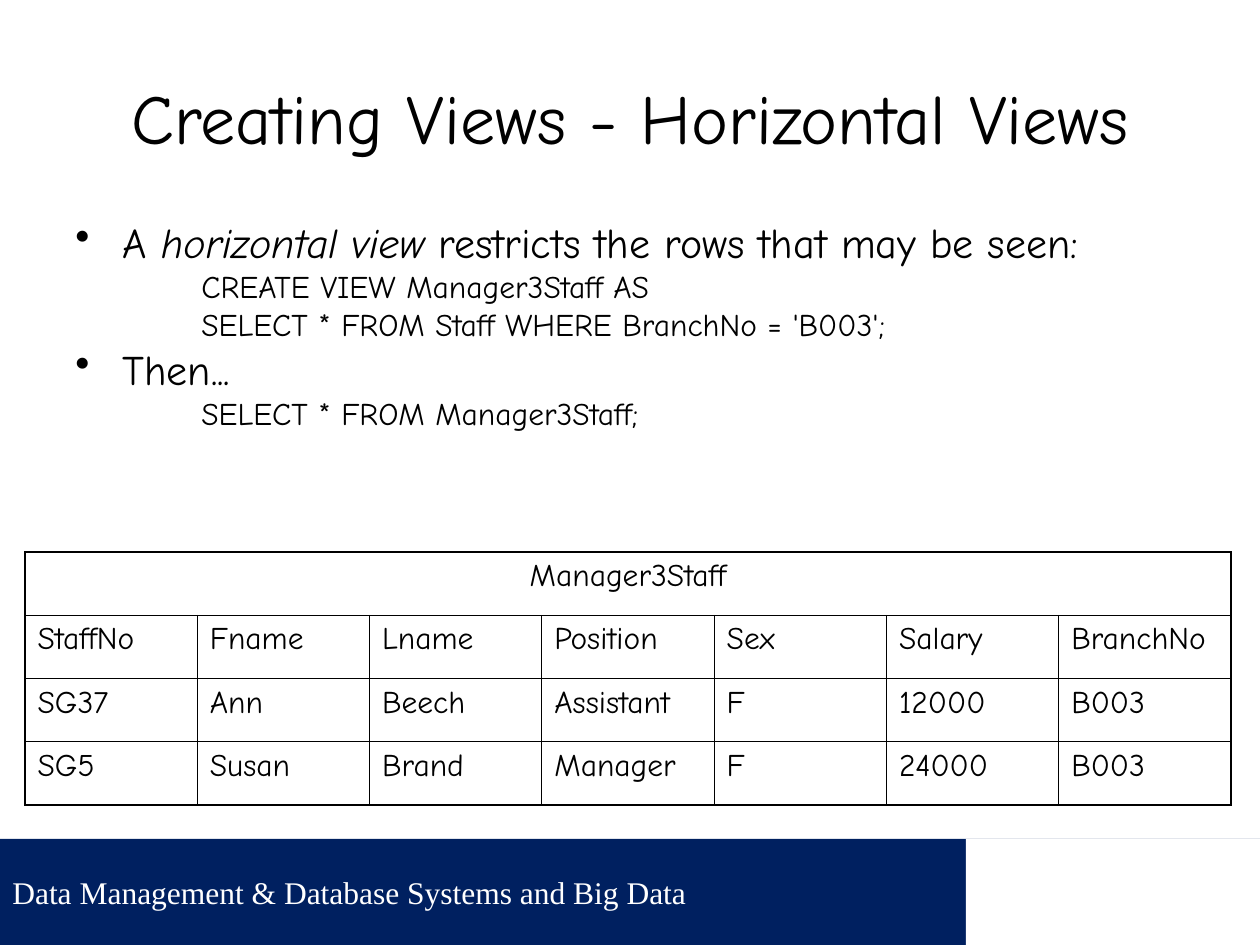
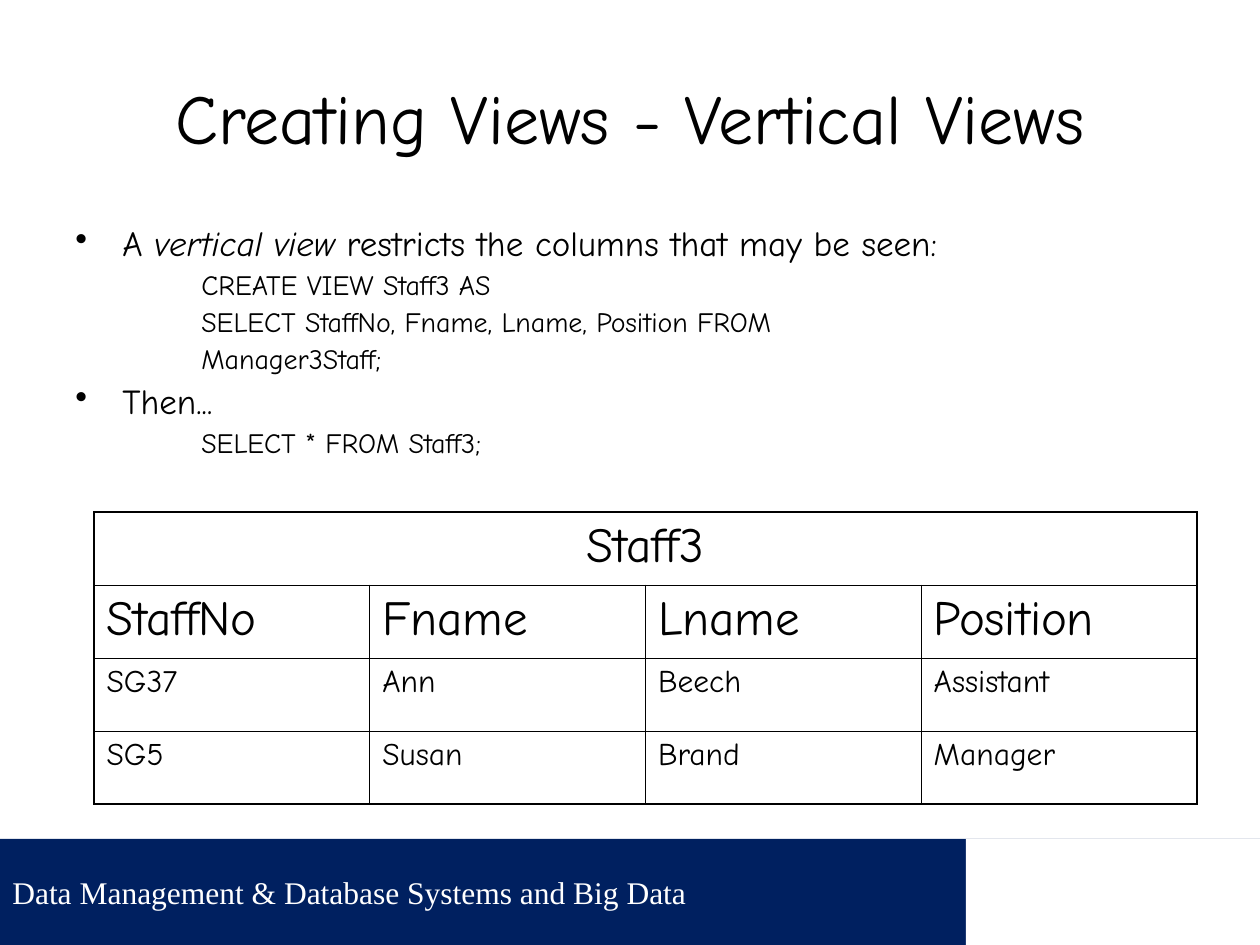
from dataclasses import dataclass

from lxml import etree
from pptx import Presentation
from pptx.dml.color import RGBColor
from pptx.enum.shapes import MSO_SHAPE
from pptx.enum.text import MSO_ANCHOR, PP_ALIGN
from pptx.oxml.ns import qn
from pptx.util import Emu, Pt

RECTANGLE = MSO_SHAPE.RECTANGLE
MIDDLE = MSO_ANCHOR.MIDDLE
LEFT, CENTER = PP_ALIGN.LEFT, PP_ALIGN.CENTER
TITLE_ONLY = 5
EMU_PER_PX = 914400 / 126


@dataclass(frozen=True)
class Theme:
    ink: str = "000000"
    paper: str = "FFFFFF"
    navy: str = "002060"
    font: str = "Comic Neue"
    footer_font: str = "Times New Roman"
    title_size: int = 40
    footer_size: int = 18
    cell_size: int = 18
    heading_size: int = 28
    outer_line: float = 1.08
    inner_line: float = 0.45


THEME = Theme()
COURSE = "Data Management & Database Systems and Big Data"


def px(length):
    return Emu(round(length * EMU_PER_PX))


def place(shape, left, top, width, height):
    shape.left, shape.top = px(left), px(top)
    shape.width, shape.height = px(width), px(height)


def style(para, size, color=THEME.ink, name=THEME.font, align=LEFT):
    para.alignment = align
    para.font.size = Pt(size)
    para.font.name = name
    para.font.color.rgb = RGBColor.from_string(color)


# Shared parts of a page
def add_bar(page, left, width, color):
    bar = page.shapes.add_shape(RECTANGLE, px(left), px(839), px(width), px(106))
    bar.shadow.inherit = False
    bar.fill.solid()
    bar.fill.fore_color.rgb = RGBColor.from_string(color)
    bar.line.fill.background()
    return bar


def add_footer(page):
    band = add_bar(page, 0, 1260, THEME.navy)
    band.text_frame.vertical_anchor = MIDDLE
    para = band.text_frame.paragraphs[0]
    para.text = COURSE
    style(para, THEME.footer_size, THEME.paper, THEME.footer_font)
    add_bar(page, 966, 294, THEME.paper)


def add_page(deck, title):
    page = deck.slides.add_slide(deck.slide_layouts[TITLE_ONLY])
    add_footer(page)
    box = page.shapes.title
    place(box, 63, 38, 1134, 157)
    box.text_frame.vertical_anchor = MIDDLE
    para = box.text_frame.paragraphs[0]
    para.text = title
    style(para, THEME.title_size, align=CENTER)
    return page


# Bulleted points with indented SQL lines below them
def set_indent(para, margin, hanging, bullet=False):
    props = para._p.get_or_add_pPr()
    props.set("marL", str(px(margin)))
    props.set("indent", str(-px(hanging)))
    if bullet:
        color = etree.SubElement(props, qn("a:buClr"))
        etree.SubElement(color, qn("a:srgbClr"), val=THEME.ink)
        etree.SubElement(props, qn("a:buChar"), char="•")
    else:
        etree.SubElement(props, qn("a:buNone"))


def add_points(page, height, points, point_size, code_size, line_spacing):
    """Each point is (spans, code lines); a span is (text, italic)."""
    box = page.shapes.add_textbox(px(63), px(220), px(1133), px(height))
    frame = box.text_frame
    frame.word_wrap = True
    lines = []
    for spans, code in points:
        lines.append((spans, True))
        lines += [([(text, False)], False) for text in code]
    for number, (spans, is_point) in enumerate(lines):
        para = frame.add_paragraph() if number else frame.paragraphs[0]
        if is_point:
            set_indent(para, 47, 47, bullet=True)
        else:
            set_indent(para, 158, 32)
        size = point_size if is_point else code_size
        para.line_spacing = line_spacing
        if number:
            para.space_before = Pt(size / 4)
        style(para, size)
        for text, italic in spans:
            span = para.add_run()
            span.text = text
            if italic:
                span.font.italic = True


# Table with a merged name row and a heavier outline
def set_borders(cell, heavy_sides):
    props = cell._tc.get_or_add_tcPr()
    for position, side in enumerate("LRTB"):
        width = THEME.outer_line if side in heavy_sides else THEME.inner_line
        line = etree.Element(qn(f"a:ln{side}"), w=str(Pt(width)))
        fill = etree.SubElement(line, qn("a:solidFill"))
        etree.SubElement(fill, qn("a:srgbClr"), val=THEME.ink)
        props.insert(position, line)


def add_view_table(page, area, name, rows, heading_size):
    columns = len(rows[0])
    grid = [[name] + [""] * (columns - 1)] + rows
    last_row, last_column = len(grid) - 1, columns - 1
    table = page.shapes.add_table(len(grid), columns, *map(px, area)).table
    table.first_row = table.horz_banding = False
    table.cell(0, 0).merge(table.cell(0, last_column))
    for r, values in enumerate(grid):
        for c, value in enumerate(values):
            cell = table.cell(r, c)
            cell.fill.background()
            if cell.is_spanned:
                continue
            edges = {"L": c == 0, "R": r == 0 or c == last_column,
                     "T": r == 0, "B": r == last_row}
            set_borders(cell, [side for side, outer in edges.items() if outer])
            para = cell.text_frame.paragraphs[0]
            para.text = value
            style(para, heading_size if r < 2 else THEME.cell_size,
                  align=LEFT if r else CENTER)


def main():
    deck = Presentation()
    deck.slide_width, deck.slide_height = px(1260), px(945)

    # Horizontal views
    page = add_page(deck, "Creating Views - Horizontal Views")
    add_points(page, 272, [
        ([("A ", False), ("horizontal view ", True),
          ("restricts the rows that may be seen:", False)],
         ["CREATE VIEW Manager3Staff AS",
          "SELECT * FROM Staff WHERE BranchNo = 'B003';"]),
        ([("Then...", False)], ["SELECT * FROM Manager3Staff;"]),
    ], point_size=24, code_size=18, line_spacing=0.8)
    staff = [
        ["StaffNo", "Fname", "Lname", "Position", "Sex", "Salary", "BranchNo"],
        ["SG37", "Ann", "Beech", "Assistant", "F", "12000", "B003"],
        ["SG5", "Susan", "Brand", "Manager", "F", "24000", "B003"],
    ]
    add_view_table(page, (25, 552, 1206, 253), "Manager3Staff", staff,
                   THEME.cell_size)

    # Vertical views: the first four columns of the same rows
    page = add_page(deck, "Creating Views - Vertical Views")
    add_points(page, 252, [
        ([("A ", False), ("vertical view ", True),
          ("restricts the columns that may be seen:", False)],
         ["CREATE VIEW Staff3 AS",
          "SELECT StaffNo, Fname, Lname, Position FROM",
          "Manager3Staff;"]),
        ([("Then...", False)], ["SELECT * FROM Staff3;"]),
    ], point_size=20, code_size=16, line_spacing=0.9)
    add_view_table(page, (94, 512, 1103, 292), "Staff3",
                   [row[:4] for row in staff], THEME.heading_size)

    deck.save("out.pptx")


if __name__ == "__main__":
    main()
